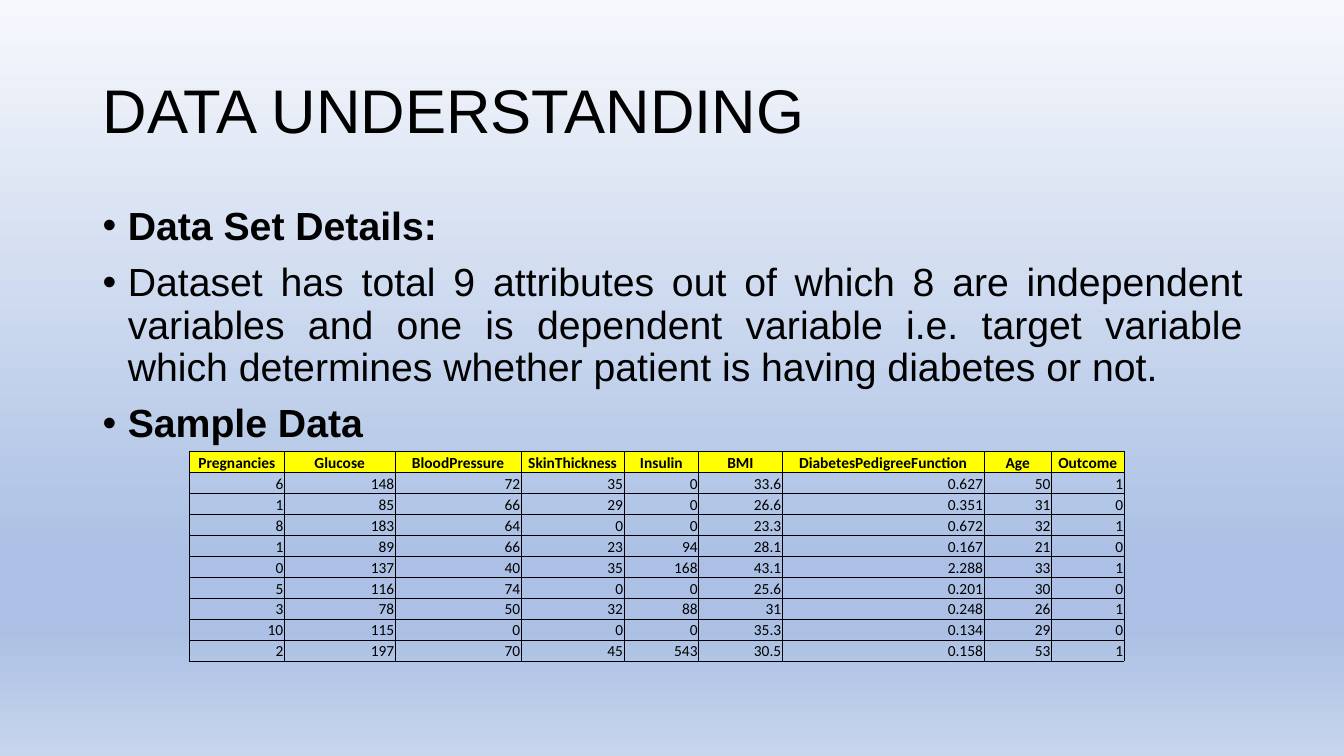
import pptx
import pptx.dml.color
import pptx.enum.text
import pptx.oxml
import pptx.oxml.ns
import pptx.util
from pptx.util import Inches

RGBColor = pptx.dml.color.RGBColor
Pt = pptx.util.Pt
Align = pptx.enum.text.PP_ALIGN
Anchor = pptx.enum.text.MSO_ANCHOR

BLACK = RGBColor(0x00, 0x00, 0x00)
YELLOW = RGBColor(0xFF, 0xFF, 0x00)
SKY_STOPS = [
    (0, RGBColor(0xF6, 0xF8, 0xFC)),
    (74, RGBColor(0xAB, 0xC0, 0xE4)),
    (83, RGBColor(0xAB, 0xC0, 0xE4)),
    (100, RGBColor(0xC7, 0xD5, 0xED)),
]

DETAILS = [
    ("Data Set Details:", True),
    ("Dataset has total 9 attributes out of which 8 are independent variables "
     "and one is dependent variable i.e. target variable which determines "
     "whether patient is having diabetes or not.", False),
    ("Sample Data", True),
]

ATTRIBUTES = [
    ("Pregnancies", 0.94), ("Glucose", 1.1), ("BloodPressure", 1.25),
    ("SkinThickness", 1.02), ("Insulin", 0.74), ("BMI", 0.83),
    ("DiabetesPedigreeFunction", 2), ("Age", 0.67), ("Outcome", 0.72),
]
PATIENTS = [
    (6, 148, 72, 35, 0, 33.6, 0.627, 50, 1),
    (1, 85, 66, 29, 0, 26.6, 0.351, 31, 0),
    (8, 183, 64, 0, 0, 23.3, 0.672, 32, 1),
    (1, 89, 66, 23, 94, 28.1, 0.167, 21, 0),
    (0, 137, 40, 35, 168, 43.1, 2.288, 33, 1),
    (5, 116, 74, 0, 0, 25.6, 0.201, 30, 0),
    (3, 78, 50, 32, 88, 31, 0.248, 26, 1),
    (10, 115, 0, 0, 0, 35.3, 0.134, 29, 0),
    (2, 197, 70, 45, 543, 30.5, 0.158, 53, 1),
]


def add_xml(parent, tag, content="", **attributes):
    """Append a DrawingML element with the given inner markup."""
    attrs = "".join(f' {key}="{value}"' for key, value in attributes.items())
    ns = pptx.oxml.ns.nsdecls("a")
    parent.append(pptx.oxml.parse_xml(f"<a:{tag} {ns}{attrs}>{content}</a:{tag}>"))


class SlideBuilder:
    text_font = "Arial"
    table_font = "Calibri"

    def __init__(self, slide):
        self.slide = slide

    def background(self, stops):
        fill = self.slide.background.fill
        fill.gradient()
        fill.gradient_angle = 270
        stop_list = fill.gradient_stops[0]._gs.getparent()
        for stop in list(stop_list):
            stop_list.remove(stop)
        for percent, color in stops:
            add_xml(stop_list, "gs", f'<a:srgbClr val="{color}"/>', pos=percent * 1000)

    def run(self, paragraph, text, font, size, bold=False):
        run = paragraph.add_run()
        run.text = text
        run.font.name = font
        run.font.size = Pt(size)
        run.font.bold = bold
        run.font.color.rgb = BLACK

    def text_frame(self, left, top, width, height, anchor):
        box = self.slide.shapes.add_textbox(
            Inches(left), Inches(top), Inches(width), Inches(height))
        frame = box.text_frame
        frame.word_wrap = True
        frame.vertical_anchor = anchor
        return frame

    def title(self, text):
        heading = self.text_frame(0.92, 0.4, 11.5, 1.45, Anchor.MIDDLE).paragraphs[0]
        heading.line_spacing = 0.9
        self.run(heading, text, self.text_font, 44)

    def bullets(self, items):
        frame = self.text_frame(0.92, 2, 11.5, 4.76, Anchor.TOP)
        for index, (text, bold) in enumerate(items):
            bullet = frame.add_paragraph() if index else frame.paragraphs[0]
            bullet.alignment = Align.JUSTIFY
            bullet.line_spacing = 0.9
            bullet.space_before = Pt(10)
            properties = bullet._p.get_or_add_pPr()
            properties.set("marL", str(Inches(0.25)))
            properties.set("indent", str(-Inches(0.25)))
            add_xml(properties, "buFont", typeface=self.text_font)
            add_xml(properties, "buChar", char="•")
            self.run(bullet, text, self.text_font, 28, bold)

    def cell(self, cell, text, is_header):
        cell.vertical_anchor = Anchor.BOTTOM
        cell.margin_left = cell.margin_right = cell.margin_top = Inches(0.01)
        cell.margin_bottom = 0
        for side in ("lnL", "lnR", "lnT", "lnB"):
            add_xml(cell._tc.get_or_add_tcPr(), side,
                    f'<a:solidFill><a:srgbClr val="{BLACK}"/></a:solidFill>', w=Pt(0.5))
        if is_header:
            cell.fill.solid()
            cell.fill.fore_color.rgb = YELLOW
        else:
            cell.fill.background()
        entry = cell.text_frame.paragraphs[0]
        entry.alignment = Align.CENTER if is_header else Align.RIGHT
        self.run(entry, text, self.table_font, 11, is_header)

    def table(self, columns, records):
        rows = [[name for name, _ in columns], *records]
        height = Inches(2.08)
        table = self.slide.shapes.add_table(
            len(rows), len(columns), Inches(1.88), Inches(4.48),
            Inches(sum(width for _, width in columns)), height).table
        table.first_row = table.horz_banding = False
        for column, (_, width) in zip(table.columns, columns):
            column.width = Inches(width)
        for row_index, values in enumerate(rows):
            table.rows[row_index].height = height // len(rows)
            for column_index, value in enumerate(values):
                self.cell(table.cell(row_index, column_index), str(value), row_index == 0)


def main():
    presentation = pptx.Presentation()
    presentation.slide_width = Inches(13.33)
    presentation.slide_height = Inches(7.5)
    builder = SlideBuilder(presentation.slides.add_slide(presentation.slide_layouts[6]))
    builder.background(SKY_STOPS)
    builder.title("DATA UNDERSTANDING")
    builder.bullets(DETAILS)
    builder.table(ATTRIBUTES, PATIENTS)
    presentation.save("out.pptx")


if __name__ == "__main__":
    main()
